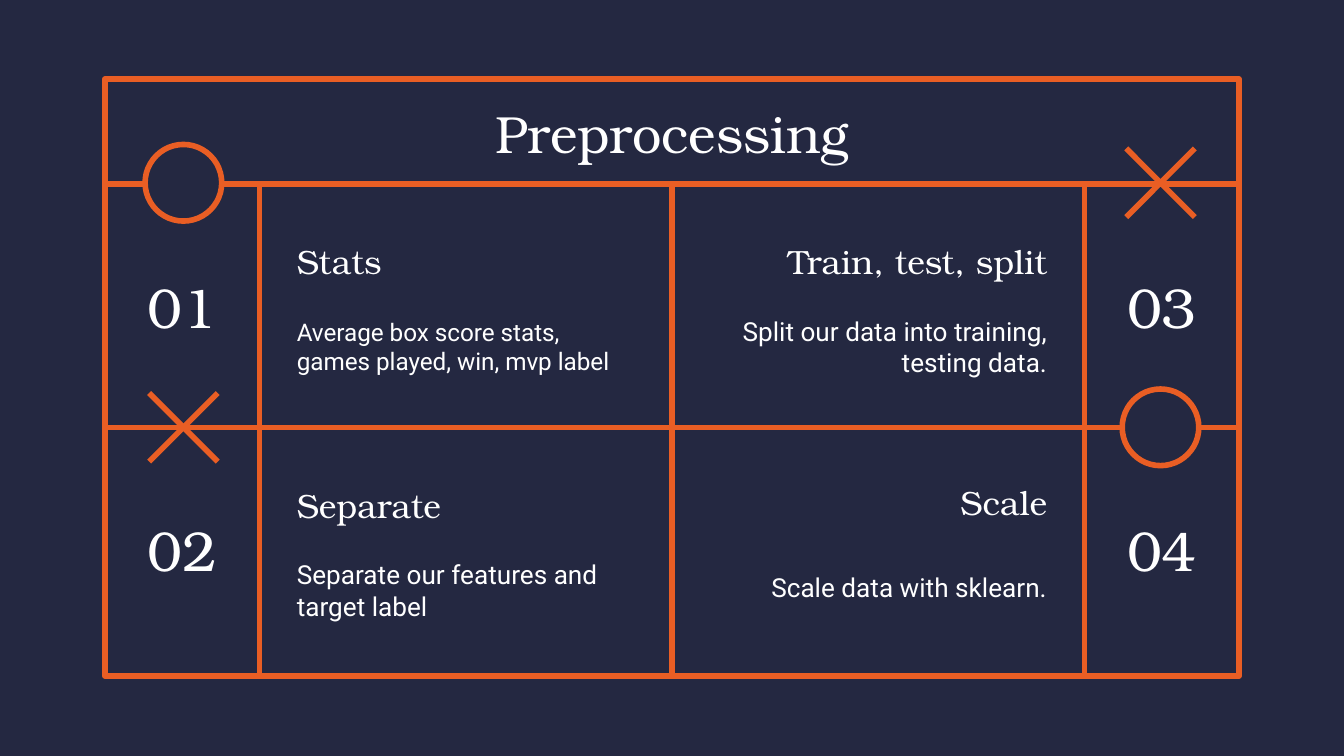
from dataclasses import dataclass

from lxml.etree import SubElement
from pptx import Presentation
from pptx.dml.color import RGBColor
from pptx.enum.shapes import MSO_CONNECTOR as Connector, MSO_SHAPE as Shape
from pptx.enum.text import MSO_ANCHOR as Anchor, MSO_AUTO_SIZE as AutoSize, PP_ALIGN as Align
from pptx.oxml.ns import qn
from pptx.util import Inches, Pt


@dataclass(frozen=True)
class Theme:
    background: RGBColor = RGBColor.from_string("242841")
    accent: RGBColor = RGBColor.from_string("E95E24")
    text: RGBColor = RGBColor.from_string("FFFFFF")
    serif: str = "TeX Gyre Bonum"
    sans: str = "Roboto"
    title: int = 28
    number: int = 30
    heading: int = 18
    body: int = 14
    body_small: int = 13
    stroke: int = 3


THEME = Theme()
WIDTH, HEIGHT = 10, 5.625
TITLE = "Preprocessing"
STEPS = [
    dict(number="01", heading="Stats", row=0, right=False, mark="circle", size=THEME.body_small,
         body="Average box score stats, games played, win, mvp label"),
    dict(number="02", heading="Separate", row=1, right=False, mark="cross",
         body="Separate our features and target label"),
    dict(number="03", heading="Train, test, split", row=0, right=True, mark="cross",
         body="Split our data into training, testing data."),
    dict(number="04", heading="Scale", row=1, right=True, mark="circle", text_shift=-0.02,
         body="Scale data with sklearn."),
]

LEFT, TOP, BOTTOM = 0.78, 0.59, 5.03
RIGHT = WIDTH - LEFT
ROWS = [1.37, 3.18]
COLUMNS = [1.93, WIDTH / 2, WIDTH - 1.93]
NUMBER_BOX = dict(left=0.9, width=0.91, top=0.62, height=0.57)
HEADING_BOX = dict(left=2.11, width=2.68, top=0.29, height=0.57)
BODY_BOX = dict(left=2.11, width=2.68, top=0.86, height=0.7)
MARK_X, MARK_LIFT = 1.365, 0.01
CIRCLE_SIZE, CROSS_SIZE = 0.57, 0.51


def style_line(shape):
    shape.line.color.rgb = THEME.accent
    shape.line.width = Pt(THEME.stroke)


def add_line(slide, x1, y1, x2, y2):
    line = slide.shapes.add_connector(Connector.STRAIGHT, *map(Inches, (x1, y1, x2, y2)))
    style_line(line)
    SubElement(line._element.spPr, qn("a:effectLst"))


def add_outline(slide, kind, left, top, width, height, filled=False):
    shape = slide.shapes.add_shape(kind, *map(Inches, (left, top, width, height)))
    shape.shadow.inherit = False
    if filled:
        shape.fill.solid()
        shape.fill.fore_color.rgb = THEME.background
    else:
        shape.fill.background()
    style_line(shape)


def write(shape, text, size, font=THEME.serif, align=Align.CENTER):
    frame = shape.text_frame
    frame.text = text
    margins = {f"margin_{side}": Inches(0.1) for side in ("left", "right", "top", "bottom")}
    settings = dict(word_wrap=True, auto_size=AutoSize.NONE, vertical_anchor=Anchor.MIDDLE, **margins)
    for name, value in settings.items():
        setattr(frame, name, value)
    paragraph = frame.paragraphs[0]
    paragraph.alignment = align
    for name, value in dict(name=font, size=Pt(size)).items():
        setattr(paragraph.font, name, value)
    paragraph.font.color.rgb = THEME.text


def add_text(slide, step, box, text, size, shift=0, **style):
    left = WIDTH - box["left"] - box["width"] if step["right"] else box["left"]
    top = ROWS[step["row"]] + box["top"] + shift
    place = map(Inches, (left, top, box["width"], box["height"]))
    write(slide.shapes.add_textbox(*place), text, size, **style)


def add_mark(slide, step):
    x = WIDTH - MARK_X if step["right"] else MARK_X
    y = ROWS[step["row"]] - (MARK_LIFT if step["row"] == 0 else 0)
    if step["mark"] == "circle":
        half = CIRCLE_SIZE / 2
        add_outline(slide, Shape.OVAL, x - half, y - half, CIRCLE_SIZE, CIRCLE_SIZE, filled=True)
    else:
        half = CROSS_SIZE / 2
        for rise in (half, -half):
            add_line(slide, x - half, y - rise, x + half, y + rise)


def add_grid(slide):
    add_outline(slide, Shape.RECTANGLE, LEFT, TOP, RIGHT - LEFT, BOTTOM - TOP)
    for y in ROWS:
        add_line(slide, LEFT, y, RIGHT, y)
    for x in COLUMNS:
        add_line(slide, x, ROWS[0], x, BOTTOM)


def add_title(slide):
    title = slide.shapes.title
    place = dict(left=LEFT, top=0.67, width=RIGHT - LEFT, height=0.63)
    for name, value in place.items():
        setattr(title, name, Inches(value))
    write(title, TITLE, THEME.title)


def add_step(slide, step):
    align = Align.RIGHT if step["right"] else Align.LEFT
    shift = step.get("text_shift", 0)
    add_text(slide, step, NUMBER_BOX, step["number"], THEME.number)
    add_text(slide, step, HEADING_BOX, step["heading"], THEME.heading, shift, align=align)
    add_text(slide, step, BODY_BOX, step["body"], step.get("size", THEME.body), shift,
             font=THEME.sans, align=align)
    add_mark(slide, step)


def main():
    presentation = Presentation()
    presentation.slide_width, presentation.slide_height = Inches(WIDTH), Inches(HEIGHT)
    slide = presentation.slides.add_slide(presentation.slide_layouts[5])
    slide.background.fill.solid()
    slide.background.fill.fore_color.rgb = THEME.background
    add_grid(slide)
    add_title(slide)
    for step in STEPS:
        add_step(slide, step)
    presentation.save("out.pptx")


if __name__ == "__main__":
    main()
